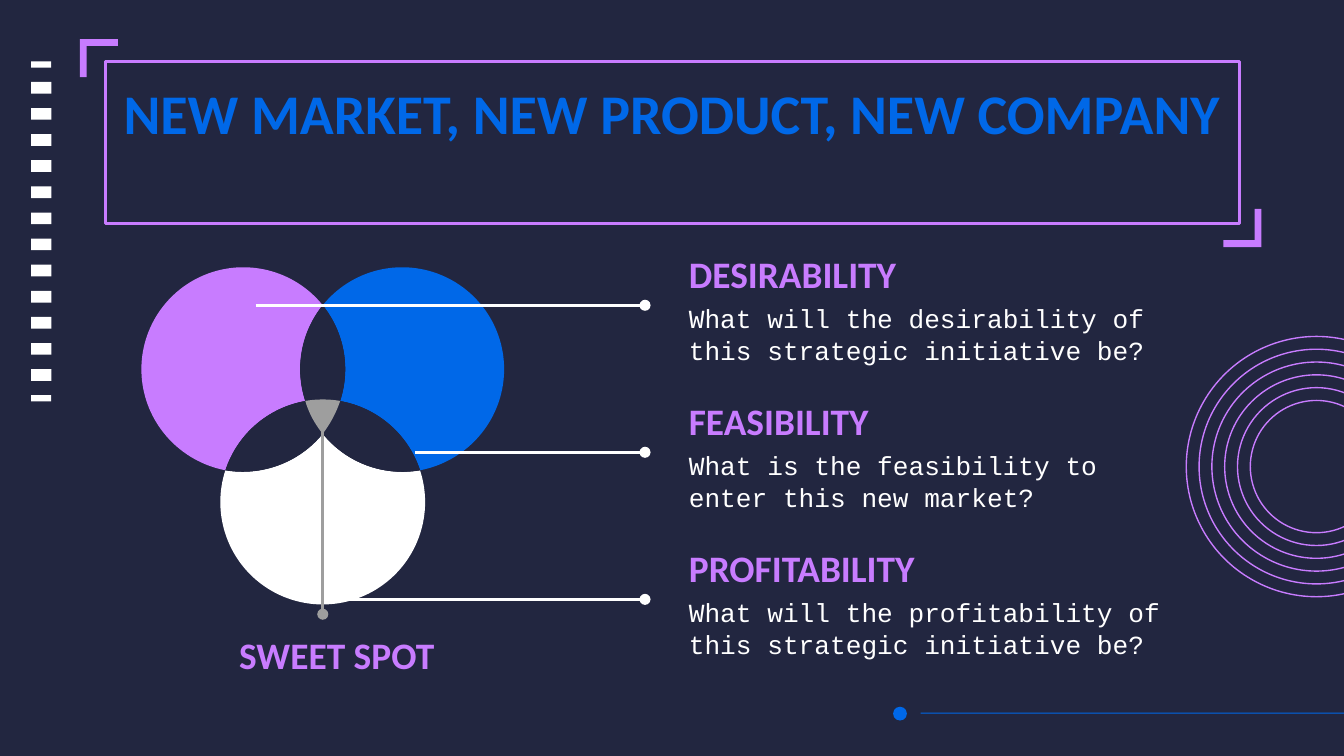
from math import atan2, ceil, cos, hypot, pi, sin, tan

from lxml import etree
from pptx import Presentation
from pptx.dml.color import RGBColor
from pptx.enum.shapes import MSO_CONNECTOR, MSO_SHAPE
from pptx.enum.text import MSO_ANCHOR, MSO_AUTO_SIZE, PP_ALIGN
from pptx.oxml.ns import qn
from pptx.util import Cm, Pt

NAVY = RGBColor(0x22, 0x26, 0x40)
PURPLE = RGBColor(0xC8, 0x7C, 0xFF)
BLUE = RGBColor(0x00, 0x68, 0xE8)
WHITE = RGBColor(0xFF, 0xFF, 0xFF)
GREY = RGBColor(0x9E, 0x9E, 0x9E)

RECT, OVAL = MSO_SHAPE.RECTANGLE, MSO_SHAPE.OVAL
STRAIGHT = MSO_CONNECTOR.STRAIGHT
LEFT, CENTER = PP_ALIGN.LEFT, PP_ALIGN.CENTER
TOP, MIDDLE = MSO_ANCHOR.TOP, MSO_ANCHOR.MIDDLE
NO_AUTOFIT = MSO_AUTO_SIZE.NONE
TITLE_ONLY = 5

# Venn diagram: centres of three equal circles and the points where they cross (cm)
CIRCLES = {"desirable": (4.6, 6.98), "feasible": (7.6, 6.98), "profitable": (6.1, 9.49)}
CROSSINGS = {
    "top": (6.1, 5.77), "core": (6.1, 8.2),
    "left": (4.26, 8.89), "right": (7.94, 8.89),
    "core left": (5.77, 7.58), "core right": (6.43, 7.58),
}
# Each region: colour, then its crossings, each followed by the circle to go along
REGIONS = [
    (PURPLE, ["top", "desirable", "left", "profitable", "core left", "feasible"]),
    (BLUE, ["top", "feasible", "right", "profitable", "core right", "desirable"]),
    (NAVY, ["top", "feasible", "core left", "profitable", "core right", "desirable"]),
    (WHITE, ["left", "profitable", "right", "feasible", "core", "desirable"]),
    (NAVY, ["left", "profitable", "core left", "feasible", "core", "desirable"]),
    (NAVY, ["right", "profitable", "core right", "desirable", "core", "feasible"]),
    (GREY, ["core left", "profitable", "core right", "desirable", "core", "feasible"]),
]
OUTER_ARCS = {("top", "left"), ("top", "right"), ("left", "right")}

# Heading, question, left end of the leader line (cm)
CRITERIA = [
    ("DESIRABILITY", "What will the desirability of this strategic initiative be?", 4.83),
    ("FEASIBILITY", "What is the feasibility to enter this new market?", 7.85),
    ("PROFITABILITY", "What will the profitability of this strategic initiative be?", 6.32),
]


def arc_curves(center, start, end, outer):
    """Bézier points after start along a circle, the short way round unless outer."""
    cx, cy = center
    first, last = (atan2(y - cy, x - cx) for x, y in (start, end))
    sweep = (last - first + pi) % (2 * pi) - pi
    if outer:
        sweep -= 2 * pi if sweep > 0 else -2 * pi
    radius = hypot(start[0] - cx, start[1] - cy)
    count = ceil(abs(sweep) / (pi / 2))
    step = sweep / count
    pull = 4 / 3 * tan(step / 4)
    points = []
    for i in range(count):
        a, b = first + i * step, first + (i + 1) * step
        for x, y in [(cos(a) - pull * sin(a), sin(a) + pull * cos(a)),
                     (cos(b) + pull * sin(b), sin(b) - pull * cos(b)),
                     (cos(b), sin(b))]:
            points.append((cx + radius * x, cy + radius * y))
    return points[:-1] + [end]


def region_outline(route):
    corners, circles = route[::2], route[1::2]
    points = [CROSSINGS[corners[0]]]
    for start, circle, end in zip(corners, circles, corners[1:] + corners[:1]):
        points += arc_curves(CIRCLES[circle], CROSSINGS[start], CROSSINGS[end],
                             (start, end) in OUTER_ARCS)
    return points


def bend(shape):
    """Turns every three line segments of a freeform into one Bézier curve."""
    segments = list(shape._element.iter(qn("a:lnTo")))
    for i in range(0, len(segments), 3):
        curve = etree.Element(qn("a:cubicBezTo"))
        segments[i].addprevious(curve)
        for segment in segments[i:i + 3]:
            curve.append(segment[0])
            segment.getparent().remove(segment)


def write(frame, text, font="Calibri", size=20, color=PURPLE, bold=True,
          align=LEFT, anchor=MIDDLE):
    frame.word_wrap = True
    frame.auto_size = NO_AUTOFIT
    frame.vertical_anchor = anchor
    frame.margin_left = frame.margin_right = Cm(0.25)
    frame.margin_top = frame.margin_bottom = Cm(0.25)
    frame.text = text
    paragraph = frame.paragraphs[0]
    paragraph.alignment = align
    run_font = paragraph.runs[0].font
    run_font.name, run_font.size, run_font.bold = font, Pt(size), bold
    run_font.color.rgb = color


class Canvas:
    """Draws styled elements on one slide; all lengths are in cm."""

    def __init__(self, slide):
        self.shapes = slide.shapes
        slide.background.fill.solid()
        slide.background.fill.fore_color.rgb = NAVY

    def paint(self, shape, fill=None, line=None, width=1.5):
        shape.shadow.inherit = False
        if fill is None:
            shape.fill.background()
        else:
            shape.fill.solid()
            shape.fill.fore_color.rgb = fill
        if line is None:
            shape.line.fill.background()
        else:
            shape.line.color.rgb = line
            shape.line.width = Pt(width)

    def shape(self, kind, x, y, w, h, **style):
        self.paint(self.shapes.add_shape(kind, Cm(x), Cm(y), Cm(w), Cm(h)), **style)

    def circle(self, center, radius, **style):
        self.shape(OVAL, center[0] - radius, center[1] - radius, 2 * radius, 2 * radius, **style)

    def outline(self, contours, fill, curved=False):
        contours = [[(Cm(x), Cm(y)) for x, y in points] for points in contours]
        builder = self.shapes.build_freeform(*contours[0][0])
        for i, points in enumerate(contours):
            if i:
                builder.move_to(*points[0])
            builder.add_line_segments(points[1:], close=True)
        shape = builder.convert_to_shape()
        if curved:
            bend(shape)
        self.paint(shape, fill=fill)

    def bracket(self, x, y, direction, arm=0.72, thick=0.13):
        """Right-angled corner mark whose arms run along direction (1 or -1)."""
        steps = [(0, 0), (arm, 0), (arm, thick), (thick, thick), (thick, arm), (0, arm)]
        self.outline([[(x + direction * dx, y + direction * dy) for dx, dy in steps]], PURPLE)

    def leader(self, x1, y1, x2, y2, color):
        line = self.shapes.add_connector(STRAIGHT, Cm(x1), Cm(y1), Cm(x2), Cm(y2))
        line.line.color.rgb = color
        line.line.width = Pt(1.5)
        etree.SubElement(line.line._get_or_add_ln(), qn("a:tailEnd"), type="oval")
        etree.SubElement(line._element.spPr, qn("a:effectLst"))

    def title(self, text, x, y, w, h, **style):
        title = self.shapes.title
        title.left, title.top, title.width, title.height = Cm(x), Cm(y), Cm(w), Cm(h)
        write(title.text_frame, text, **style)

    def text(self, text, x, y, w, h, **style):
        box = self.shapes.add_textbox(Cm(x), Cm(y), Cm(w), Cm(h))
        write(box.text_frame, text, **style)


def draw_decoration(canvas):
    for ring in range(6):
        canvas.circle((24.88, 8.82), 1.25 + 1.21 * ring / 5, line=PURPLE, width=0.75)
    for y in (1.16, 7.47):
        canvas.shape(RECT, 0.59, y, 0.38, 0.12, fill=WHITE)
    tops = [1.55 + 5.43 * i / 11 for i in range(12)]
    canvas.outline([[(0.59, y), (0.59, y + 0.22), (0.97, y + 0.22), (0.97, y)]
                    for y in tops], WHITE)
    canvas.shape(RECT, 17.4, 13.47, 8.08, 0.02, fill=BLUE)
    canvas.circle((17.01, 13.49), 0.13, fill=BLUE)
    canvas.shape(RECT, 1.99, 1.17, 21.44, 3.05, line=PURPLE)
    canvas.bracket(23.84, 4.67, -1)
    canvas.bracket(1.51, 0.74, 1)


def main():
    deck = Presentation()
    deck.slide_width, deck.slide_height = Cm(25.4), Cm(14.29)
    canvas = Canvas(deck.slides.add_slide(deck.slide_layouts[TITLE_ONLY]))

    draw_decoration(canvas)
    canvas.title("NEW MARKET, NEW PRODUCT, NEW COMPANY", 1.98, 1.24, 21.44, 2.72,
                 size=30, color=BLUE, align=CENTER, anchor=TOP)

    for color, route in REGIONS:
        canvas.outline([region_outline(route)], color, curved=True)
    canvas.leader(6.1, 7.62, 6.1, 11.61, GREY)
    canvas.text("SWEET SPOT", 2.72, 11.9, 7.29, 0.94, align=CENTER)

    for row, (heading, question, leader_start) in enumerate(CRITERIA):
        y = 4.41 + 2.78 * row
        canvas.text(heading, 12.77, y, 9.96, 1.52)
        canvas.text(question, 12.77, y + 1.06, 9.96, 1.65, font="Courier New",
                    size=14, color=WHITE, bold=False, anchor=TOP)
        canvas.leader(leader_start, y + 1.36, 12.19, y + 1.36, WHITE)

    deck.save("out.pptx")


if __name__ == "__main__":
    main()
